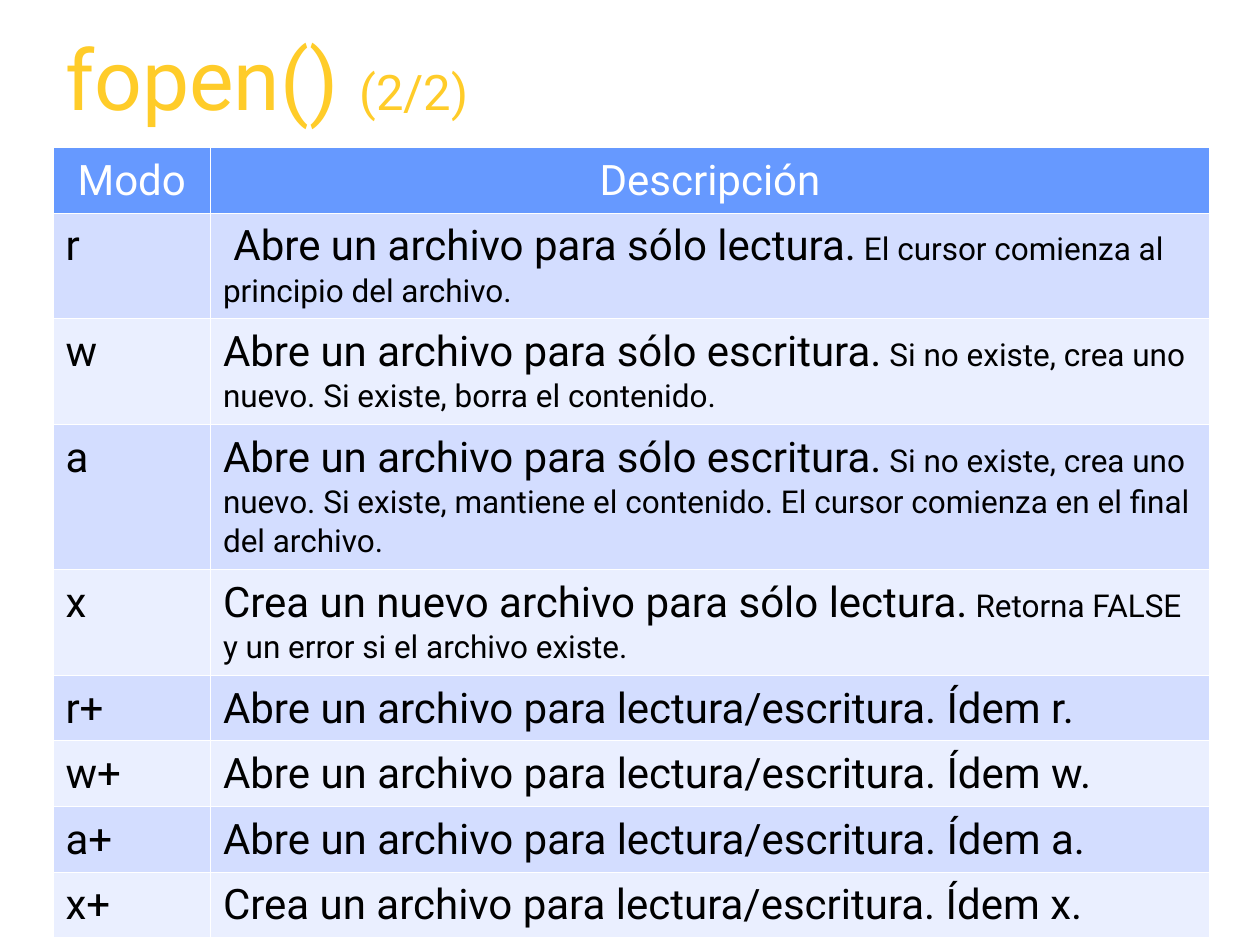
from lxml import etree
from pptx import Presentation
from pptx.dml.color import RGBColor
from pptx.enum.text import MSO_ANCHOR, PP_ALIGN
from pptx.oxml.ns import qn
from pptx.util import Inches, Pt

CENTER, LEFT = PP_ALIGN.CENTER, PP_ALIGN.LEFT
BOTTOM = MSO_ANCHOR.BOTTOM
FONT = "Roboto"
GOLD, WHITE, BLACK = "FFCC29", "FFFFFF", "000000"
HEADER_FILL, BAND_FILLS = "6699FF", ("D3DDFF", "EAEFFF")
LEFT_EDGE, CONTENT_WIDTH = 0.42, 9.18
MODE_WIDTH = 1.25
ROW_HEIGHTS = [0.52, 0.84, 0.84, 1.15, 0.84] + [0.52] * 4
ROWS = [
    ("Modo", "Descripción", ""),
    ("r", " Abre un archivo para sólo lectura.",
     " El cursor comienza al principio del archivo."),
    ("w", "Abre un archivo para sólo escritura.",
     " Si no existe, crea uno nuevo. Si existe, borra el contenido."),
    ("a", "Abre un archivo para sólo escritura.",
     " Si no existe, crea uno nuevo. Si existe, mantiene el contenido."
     " El cursor comienza en el final del archivo."),
    ("x", "Crea un nuevo archivo para sólo lectura.",
     " Retorna FALSE y un error si el archivo existe."),
    ("r+", "Abre un archivo para lectura/escritura. Ídem r.", ""),
    ("w+", "Abre un archivo para lectura/escritura. Ídem w.", ""),
    ("a+", "Abre un archivo para lectura/escritura. Ídem a.", ""),
    ("x+", "Crea un archivo para lectura/escritura. Ídem x.", ""),
]


def color(value):
    return RGBColor.from_string(value)


def write(paragraph, parts, text_color, line_spacing, alignment=LEFT):
    paragraph.alignment = alignment
    paragraph.line_spacing = line_spacing
    paragraph.font.name = FONT
    paragraph.font.bold = False
    paragraph.font.color.rgb = color(text_color)
    for text, size in parts:
        if text:
            run = paragraph.add_run()
            run.text = text
            run.font.size = Pt(size)


presentation = Presentation()
presentation.slide_width = Inches(10)
presentation.slide_height = Inches(7.5)
slide = presentation.slides.add_slide(presentation.slide_layouts[6])

title = slide.shapes.add_textbox(
    Inches(LEFT_EDGE), Inches(0.25), Inches(CONTENT_WIDTH), Inches(0.82))
title.text_frame.word_wrap = True
title.text_frame.vertical_anchor = BOTTOM
write(title.text_frame.paragraphs[0], [("fopen() ", 48), ("(2/2)", 28)], GOLD, 0.9)

table = slide.shapes.add_table(
    len(ROWS), 2, Inches(LEFT_EDGE), Inches(1.17),
    Inches(CONTENT_WIDTH), Inches(sum(ROW_HEIGHTS))).table
table.columns[0].width = Inches(MODE_WIDTH)
table.columns[1].width = Inches(CONTENT_WIDTH - MODE_WIDTH)

for row_index, (mode, description, detail) in enumerate(ROWS):
    table.rows[row_index].height = Inches(ROW_HEIGHTS[row_index])
    is_header = row_index == 0
    fill = HEADER_FILL if is_header else BAND_FILLS[(row_index - 1) % 2]
    cell_parts = [[(mode, 24)], [(description, 24), (detail, 18)]]
    for column_index, parts in enumerate(cell_parts):
        cell = table.cell(row_index, column_index)
        write(cell.text_frame.paragraphs[0], parts, WHITE if is_header else BLACK,
              1.05, CENTER if is_header else LEFT)
        cell.fill.solid()
        cell.fill.fore_color.rgb = color(fill)
        properties = cell._tc.get_or_add_tcPr()
        for position, side in enumerate(("lnL", "lnR", "lnT", "lnB")):
            border = etree.Element(qn("a:" + side), w=str(Pt(0.45)))
            border_fill = etree.SubElement(border, qn("a:solidFill"))
            etree.SubElement(border_fill, qn("a:srgbClr"), val=WHITE)
            properties.insert(position, border)

presentation.save("out.pptx")
